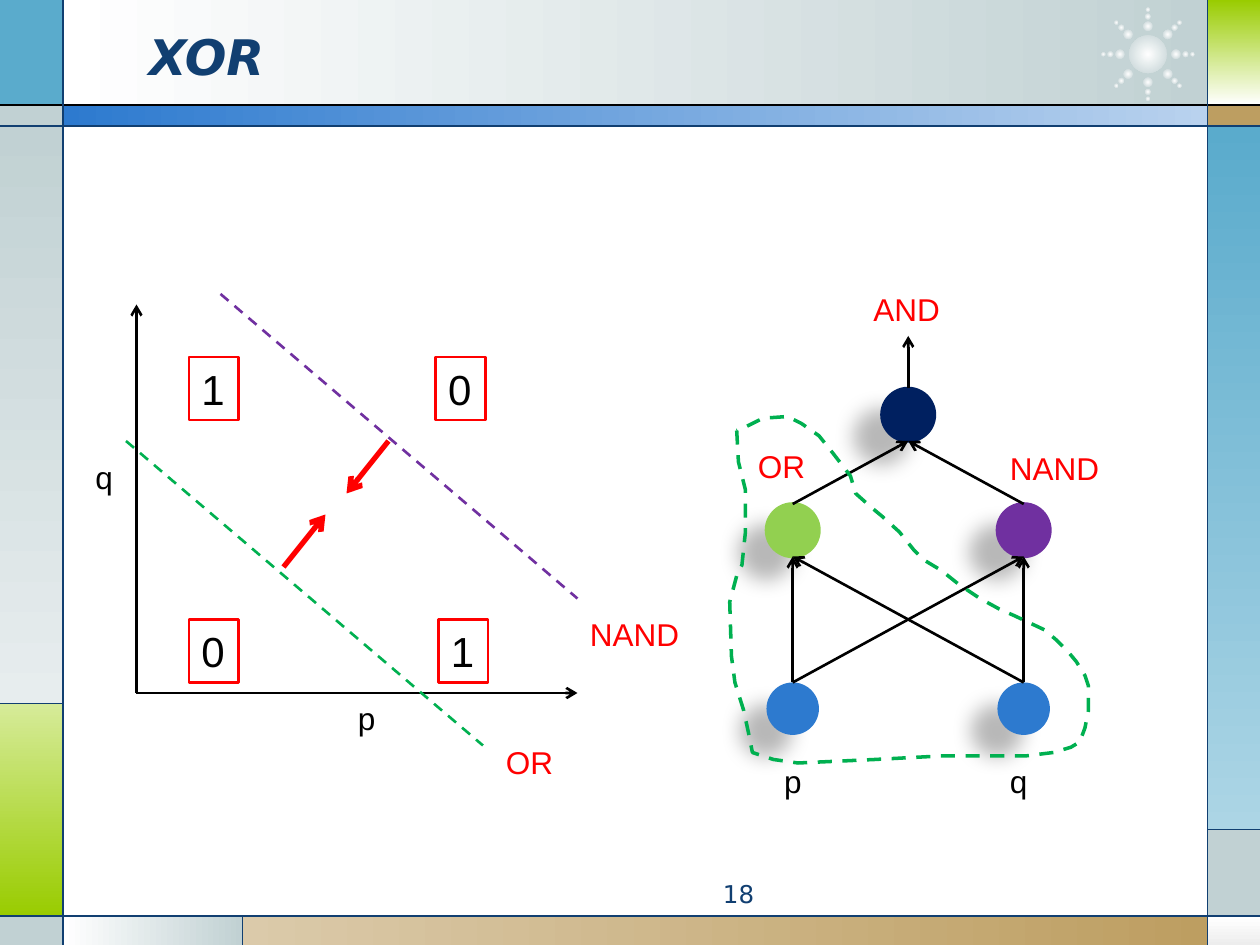
from math import cos, radians, sin

from lxml.etree import SubElement
from pptx import Presentation
from pptx.dml.color import RGBColor
from pptx.enum.dml import MSO_LINE
from pptx.enum.shapes import MSO_CONNECTOR, MSO_SHAPE
from pptx.enum.text import MSO_ANCHOR, MSO_AUTO_SIZE, PP_ALIGN
from pptx.oxml.ns import qn
from pptx.util import Pt

BLACK = RGBColor(0x00, 0x00, 0x00)
WHITE = RGBColor(0xFF, 0xFF, 0xFF)
RED = RGBColor(0xFF, 0x00, 0x00)
NAVY = RGBColor(0x11, 0x3F, 0x71)
DARK_NAVY = RGBColor(0x00, 0x20, 0x60)
BLUE = RGBColor(0x2D, 0x7A, 0xCF)
PALE_BLUE = RGBColor(0xB9, 0xD2, 0xEE)
SKY = RGBColor(0x5A, 0xAB, 0xCC)
PALE_SKY = RGBColor(0xAC, 0xD5, 0xE5)
GREY = RGBColor(0xC1, 0xD1, 0xD3)
PALE_GREY = RGBColor(0xE7, 0xED, 0xEE)
SILVER = RGBColor(0xED, 0xED, 0xED)
LIME = RGBColor(0x99, 0xCC, 0x00)
PALE_LIME = RGBColor(0xD6, 0xEB, 0x99)
TAN = RGBColor(0xBD, 0x9E, 0x61)
PALE_TAN = RGBColor(0xDB, 0xCA, 0xAA)
LEAF = RGBColor(0x92, 0xD0, 0x50)
GREEN = RGBColor(0x00, 0xB0, 0x50)
PURPLE = RGBColor(0x70, 0x30, 0xA0)

ACROSS, DOWN = 0, 270


def add_plain_shape(slide, kind, left, top, width, height):
    shape = slide.shapes.add_shape(kind, Pt(left), Pt(top), Pt(width), Pt(height))
    shape.shadow.inherit = False
    shape.line.fill.background()
    return shape


def fill_gradient(shape, start, end, angle=ACROSS):
    shape.fill.gradient()
    shape.fill.gradient_angle = angle
    for stop, color in zip(shape.fill.gradient_stops, (start, end)):
        stop.color.rgb = color


def fill_radial(shape, centre, edge):
    fill_gradient(shape, centre, edge)
    gradient = shape._element.spPr.find(qn("a:gradFill"))
    gradient.remove(gradient.find(qn("a:lin")))
    radial = SubElement(gradient, qn("a:path"), path="circle")
    SubElement(radial, qn("a:fillToRect"), l="50000", t="50000", r="50000", b="50000")


def add_line(slide, start, end, color=BLACK, width=1.5, dashed=False, arrow=False):
    line = slide.shapes.add_connector(
        MSO_CONNECTOR.STRAIGHT, *(Pt(value) for value in (*start, *end)))
    line.line.color.rgb = color
    line.line.width = Pt(width)
    if dashed:
        line.line.dash_style = MSO_LINE.DASH
    if arrow:
        SubElement(line.line._get_or_add_ln(), qn("a:tailEnd"), type="arrow")
    SubElement(line._element.spPr, qn("a:effectLst"))
    return line


def write(shape, text, size, color, font="Arial", align=PP_ALIGN.LEFT):
    paragraph = shape.text_frame.paragraphs[0]
    paragraph.alignment = align
    run = paragraph.add_run()
    run.text = text
    run.font.size = Pt(size)
    run.font.name = font
    run.font.color.rgb = color
    return run


def fit_to_text(shape):
    shape.text_frame.word_wrap = False
    shape.text_frame.auto_size = MSO_AUTO_SIZE.SHAPE_TO_FIT_TEXT


def add_label(slide, text, left, top, width, color=RED):
    label = slide.shapes.add_textbox(Pt(left), Pt(top), Pt(width), Pt(29))
    fit_to_text(label)
    write(label, text, 18, color)


def add_frame(slide, width, height):
    inner, right, head, bar, foot = 36, 690, 60, 72, 523.5
    side, corner, base = 402, 474, 138.5
    panels = [  # left, top, right, bottom, colours, direction
        (inner, 0, right, head, (WHITE, GREY), ACROSS),
        (0, 0, inner, head, (SKY,), None),
        (0, head, inner, bar, (GREY,), None),
        (0, bar, inner, side, (GREY, PALE_GREY), DOWN),
        (0, side, inner, foot, (PALE_LIME, LIME), DOWN),
        (0, foot, inner, height, (GREY,), None),
        (inner, foot, base, height, (WHITE, GREY), ACROSS),
        (base, foot, right, height, (PALE_TAN, TAN), ACROSS),
        (right, foot, width, height, (WHITE, SILVER), DOWN),
        (right, corner, width, foot, (GREY,), None),
        (right, bar, width, corner, (SKY, PALE_SKY), DOWN),
        (right, head, width, bar, (TAN,), None),
        (right, 0, width, head, (LIME, WHITE), DOWN),
        (inner, head, right, bar, (BLUE, PALE_BLUE), ACROSS),
    ]
    for x1, y1, x2, y2, colors, direction in panels:
        panel = add_plain_shape(slide, MSO_SHAPE.RECTANGLE, x1, y1, x2 - x1, y2 - y1)
        if len(colors) == 2:
            fill_gradient(panel, *colors, direction)
        else:
            panel.fill.solid()
            panel.fill.fore_color.rgb = colors[0]

    add_starburst(slide, 656, 31)
    add_line(slide, (0, head), (width, head), BLACK, 0.75)
    for start, end in [
        ((0, bar), (width, bar)), ((0, foot), (width, foot)),
        ((inner, 0), (inner, height)), ((right, 0), (right, height)),
        ((0, side), (inner, side)), ((base, foot), (base, height)),
        ((right, corner), (width, corner)),
    ]:
        add_line(slide, start, end, NAVY, 0.75)


def add_starburst(slide, centre_x, centre_y):
    """Draw a glowing core with eight rays of three shrinking dots."""
    dots = [(centre_x, centre_y, 21.6)]
    for angle in range(0, 360, 45):
        for distance, size in ((16, 5.4), (21.5, 3.4), (25.5, 2.5)):
            dots.append((centre_x + distance * cos(radians(angle)),
                         centre_y + distance * sin(radians(angle)), size))
    for x, y, size in dots:
        dot = add_plain_shape(slide, MSO_SHAPE.OVAL, x - size / 2, y - size / 2, size, size)
        fill_radial(dot, WHITE, GREY)


def add_heading(slide, left, top, width, height):
    heading = slide.shapes.add_textbox(Pt(left), Pt(top), Pt(width), Pt(height))
    heading.text_frame.word_wrap = True
    heading.text_frame.vertical_anchor = MSO_ANCHOR.MIDDLE
    title = write(heading, "XOR", 28, NAVY, "DejaVu Sans")
    title.font.bold = title.font.italic = True


def add_page_number(slide, left, top, width, height):
    number = slide.shapes.add_textbox(Pt(left), Pt(top), Pt(width), Pt(height))
    number.text_frame.word_wrap = True
    write(number, "18", 14, NAVY, "DejaVu Sans", PP_ALIGN.RIGHT)


def add_plot(slide, left, top):
    """Draw the p-q plane with its two separating lines."""
    def at(x, y):
        return left + x, top + y

    for end in ((282, 228), (30, 6)):
        add_line(slide, at(30, 228), at(*end), arrow=True)
    for start, end, color in (((78, 0), (282, 174), PURPLE), ((24, 84), (228, 258), GREEN)):
        add_line(slide, at(*start), at(*end), color, dashed=True)
    for start, end in (((114, 156), (138, 126)), ((174, 84), (150, 114))):
        add_line(slide, at(*start), at(*end), RED, 3, arrow=True)

    for value, x, y in (("1", 60, 36), ("0", 201, 36), ("0", 60, 186), ("1", 202.5, 186)):
        output = add_plain_shape(slide, MSO_SHAPE.RECTANGLE, *at(x, y), 28.5, 36)
        output.fill.background()
        output.line.color.rgb = RED
        output.line.width = Pt(1.5)
        fit_to_text(output)
        write(output, value, 24, BLACK)
    add_label(slide, "p", *at(149.5, 228), 24.5, BLACK)
    add_label(slide, "q", *at(-0.5, 90), 24.5, BLACK)
    add_label(slide, "OR", *at(234, 253), 42)
    add_label(slide, "NAND", *at(282, 180), 66)


def add_neuron(slide, centre_x, top, color, outlined=True):
    neuron = add_plain_shape(slide, MSO_SHAPE.OVAL, centre_x - 15, top, 30, 30)
    neuron.fill.solid()
    neuron.fill.fore_color.rgb = color
    if outlined:
        neuron.line.color.rgb = color
        neuron.line.width = Pt(2)
    effects = neuron._element.spPr.find(qn("a:effectLst"))
    shadow = SubElement(effects, qn("a:outerShdw"), blurRad=str(Pt(11.8)),
                        dist=str(Pt(19.7)), dir=str(141 * 60000))
    shade = SubElement(shadow, qn("a:srgbClr"), val=str(BLACK))
    SubElement(shade, qn("a:alpha"), val="28000")
    return neuron


OR_REGION = [
    (7, 83.5), (8, 102), (12, 118), (11.5, 142.5), (10, 161), (7, 167), (3, 181.5),
    (3.5, 213), (6, 227.5), (11, 243.5), (13.5, 258), (16.5, 268), (28, 271.5),
    (42.5, 273.5), (85.5, 272), (124, 270.5), (171.5, 270), (188, 268.5), (198.5, 265),
    (203, 262), (206.5, 254), (208, 243.5), (207.5, 230.5), (206, 224.5), (201, 216.5),
    (196.5, 209.5), (190, 204), (183, 198.5), (165.5, 190), (157, 186), (145.5, 180),
    (134, 171.5), (124, 164), (114, 157.5), (107.5, 152), (99.5, 142.5), (89.5, 133),
    (83.5, 128), (75, 119.5), (72, 109.5), (62.5, 97), (53.5, 87), (44, 80), (36, 76.5),
    (22.5, 77), (12, 82),
]


def add_network(slide, left, top):
    """Draw the two-layer network, with a dashed outline around its OR part."""
    p_x, and_x, q_x = left + 39, left + 105, left + 171
    and_y, hidden_y, input_y = top + 60, top + 126, top + 228
    inputs = [add_neuron(slide, x, input_y, BLUE, outlined=False) for x in (p_x, q_x)]
    hidden = [add_neuron(slide, x, hidden_y, color)
              for x, color in ((p_x, LEAF), (q_x, PURPLE))]
    output = add_neuron(slide, and_x, and_y, DARK_NAVY)

    links = [(neuron, (x, hidden_y + 30)) for neuron in inputs for x in (p_x, q_x)]
    links += [(neuron, (and_x, and_y + 30)) for neuron in hidden]
    links.append((output, (and_x, top + 30)))
    for neuron, end in links:
        add_line(slide, (0, 0), end, arrow=True).begin_connect(neuron, 0)

    add_label(slide, "AND", left + 78, top, 52.5)
    add_label(slide, "OR", left + 12, top + 90, 42)
    add_label(slide, "NAND", left + 156, top + 91, 66)
    add_label(slide, "p", left + 27, top + 270, 24.5, BLACK)
    add_label(slide, "q", left + 156, top + 270, 24.5, BLACK)

    corners = [(left + x, top + y) for x, y in OR_REGION]
    builder = slide.shapes.build_freeform(*corners[0], scale=Pt(1))
    builder.add_line_segments(corners[1:], close=True)
    region = builder.convert_to_shape()
    region.shadow.inherit = False
    region.fill.background()
    region.line.color.rgb = GREEN
    region.line.width = Pt(2)
    region.line.dash_style = MSO_LINE.DASH


def main():
    deck = Presentation()
    deck.slide_width, deck.slide_height = Pt(720), Pt(540)
    slide = deck.slides.add_slide(deck.slide_layouts[6])
    add_frame(slide, 720, 540)
    add_heading(slide, 78, 9.5, 528, 44.5)
    add_page_number(slide, 270, 499, 168, 19.5)
    add_plot(slide, 48, 168)
    add_network(slide, 414, 162)
    deck.save("out.pptx")


if __name__ == "__main__":
    main()
